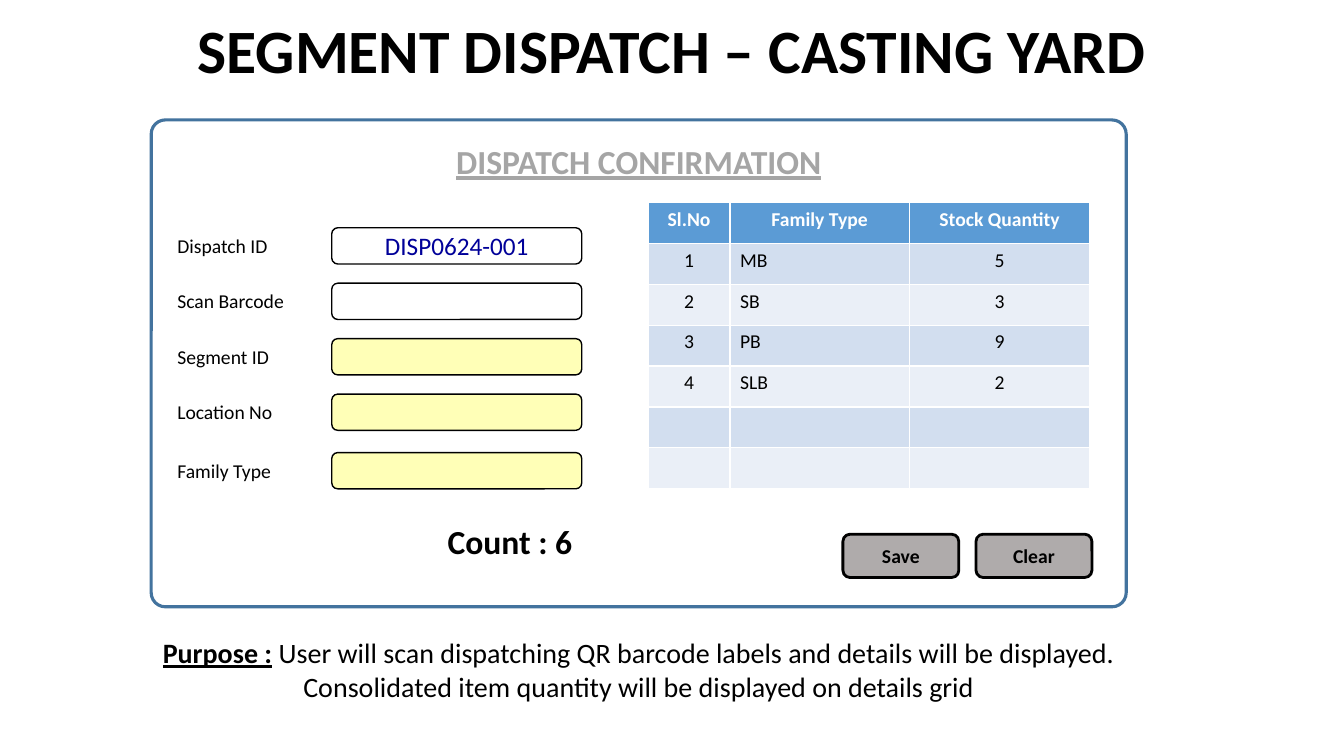
from pptx import Presentation
from pptx.dml.color import RGBColor
from pptx.enum.shapes import MSO_SHAPE
from pptx.enum.text import MSO_ANCHOR, MSO_AUTO_SIZE, PP_ALIGN
from pptx.util import Emu, Pt

EMU_PER_PX = 9144
BLACK, WHITE = "000000", "FFFFFF"
LEFT, CENTER = PP_ALIGN.LEFT, PP_ALIGN.CENTER


def px(*lengths):
    return [Emu(length * EMU_PER_PX) for length in lengths]


def color(hex_string):
    return RGBColor.from_string(hex_string)


class FormSlide:
    """Draws form elements on one slide in a shared style."""

    font_name = "Calibri"

    def __init__(self, presentation):
        self.slide = presentation.slides.add_slide(presentation.slide_layouts[5])

    def add_runs(self, frame, runs, align=LEFT):
        paragraph = frame.paragraphs[0]
        paragraph.alignment = align
        for text, size, hex_string, bold, underline in runs:
            run = paragraph.add_run()
            run.text = text
            font = run.font
            font.name, font.size = self.font_name, Pt(size)
            font.bold, font.underline = bold, underline
            font.color.rgb = color(hex_string)
        return paragraph

    def title(self, box, text):
        shape = self.slide.shapes.title
        shape.left, shape.top, shape.width, shape.height = px(*box)
        frame = shape.text_frame
        frame.auto_size = MSO_AUTO_SIZE.NONE
        frame.vertical_anchor = MSO_ANCHOR.MIDDLE
        paragraph = self.add_runs(frame, [(text, 44, BLACK, True, False)], CENTER)
        paragraph.line_spacing = 0.9

    def text(self, box, runs, align=LEFT):
        frame = self.slide.shapes.add_textbox(*px(*box)).text_frame
        frame.word_wrap = True
        frame.auto_size = MSO_AUTO_SIZE.SHAPE_TO_FIT_TEXT
        self.add_runs(frame, runs, align)

    def box(self, box, fill=None, line=BLACK, weight=1, radius=0.1667, runs=()):
        shape = self.slide.shapes.add_shape(MSO_SHAPE.ROUNDED_RECTANGLE, *px(*box))
        shape.shadow.inherit = False
        shape.adjustments[0] = radius
        if fill:
            shape.fill.solid()
            shape.fill.fore_color.rgb = color(fill)
        else:
            shape.fill.background()
        shape.line.color.rgb = color(line)
        shape.line.width = Pt(weight)
        shape.text_frame.vertical_anchor = MSO_ANCHOR.MIDDLE
        self.add_runs(shape.text_frame, runs, CENTER)

    def table(self, box, widths, rows, aligns):
        table = self.slide.shapes.add_table(len(rows), len(widths), *px(*box)).table
        for column, width in zip(table.columns, px(*widths)):
            column.width = width
        for row_index, row in enumerate(rows):
            header = row_index == 0
            band = "D2DEEF" if row_index % 2 else "EAEFF7"
            for column_index, text in enumerate(row):
                cell = table.cell(row_index, column_index)
                cell.fill.solid()
                cell.fill.fore_color.rgb = color("5B9BD5" if header else band)
                if text:
                    align = CENTER if header else aligns[column_index]
                    run = (text, 14, WHITE if header else BLACK, header, False)
                    self.add_runs(cell.text_frame, [run], align)


def main():
    presentation = Presentation()
    presentation.slide_width, presentation.slide_height = px(1333, 750)
    form = FormSlide(presentation)

    form.title((0, -1, 1333, 108), "SEGMENT DISPATCH – CASTING YARD")
    form.box((150, 119, 967, 483), line="43739E", weight=2.25, radius=0.029)
    form.text((150, 135, 967, 50),
              [("DISPATCH CONFIRMATION", 24, "A5A5A5", True, True)], CENTER)

    fields = [
        ("Dispatch ID", 226, None, [("DISP0624-001", 18, "000099", False, False)]),
        ("Scan Barcode", 281, None, []),
        ("Segment ID", 336, "FFFFB7", []),
        ("Location No", 391, "FFFFB7", []),
        ("Family Type", 449, "FFFFB7", []),
    ]
    for label, top, fill, value in fields:
        form.text((166, top + 1, 209, 34), [(label, 14, BLACK, False, False)])
        form.box((329, top, 248, 36), fill, runs=value)

    form.text((434, 512, 209, 50), [("Count : 6", 24, BLACK, True, False)])
    for index, caption in enumerate(("Save", "Clear")):
        form.box((836 + 132 * index, 530, 115, 43), "AFABAB", weight=2,
                 runs=[(caption, 14, BLACK, True, False)])

    stock = [
        ("Sl.No", "Family Type", "Stock Quantity"),
        ("1", "MB", "5"),
        ("2", "SB", "3"),
        ("3", "PB", "9"),
        ("4", "SLB", "2"),
        ("", "", ""),
        ("", "", ""),
    ]
    form.table((643, 201, 438, 284), (81, 178, 179), stock, (CENTER, LEFT, CENTER))

    purpose = ("User will scan dispatching QR barcode labels and details will be "
               "displayed. Consolidated item quantity will be displayed on details grid")
    form.text((150, 626, 967, 77), [
        ("Purpose :", 20, BLACK, True, True),
        (" ", 20, BLACK, True, False),
        (purpose, 20, BLACK, False, False),
    ], CENTER)

    presentation.save("out.pptx")


if __name__ == "__main__":
    main()
